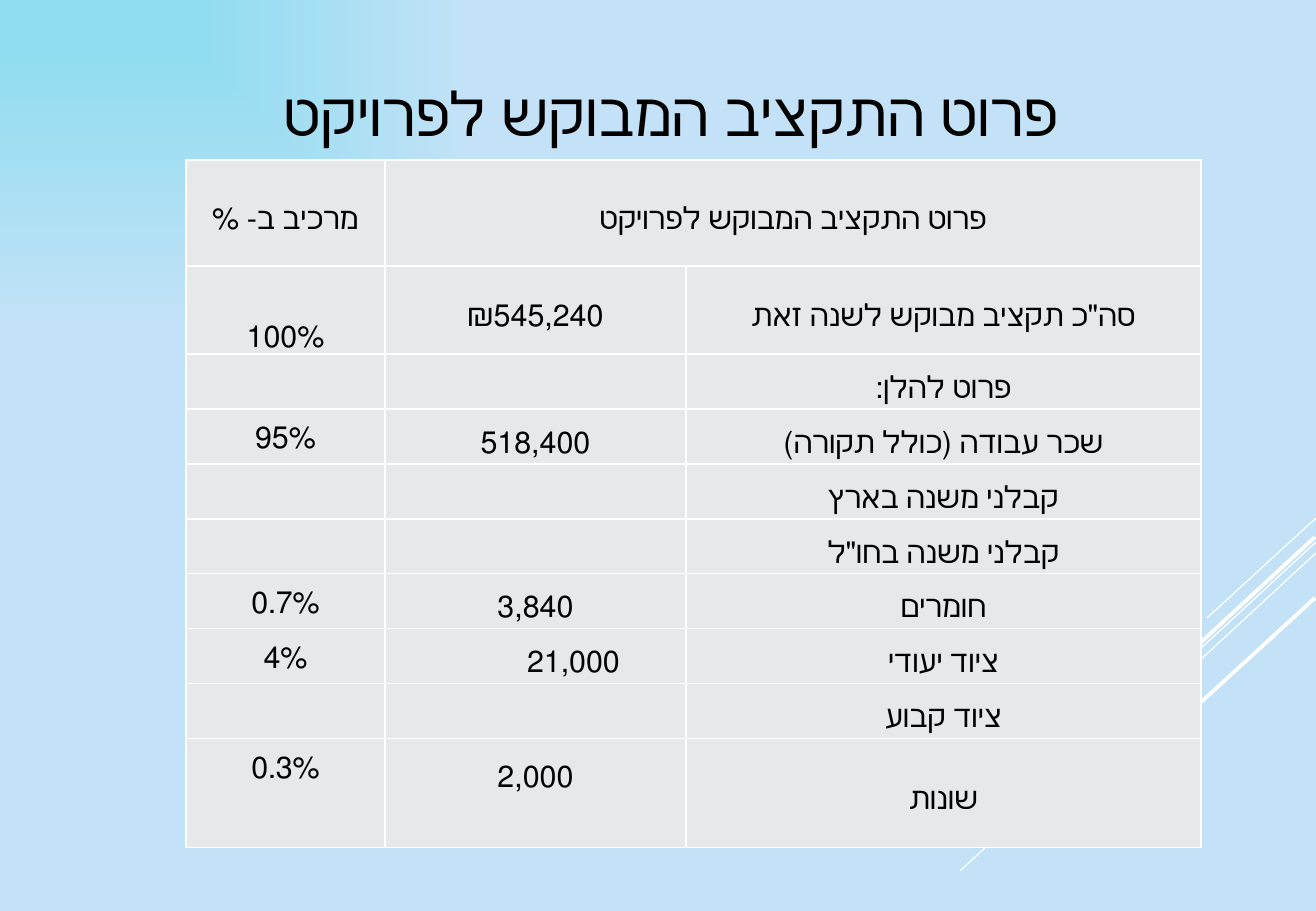
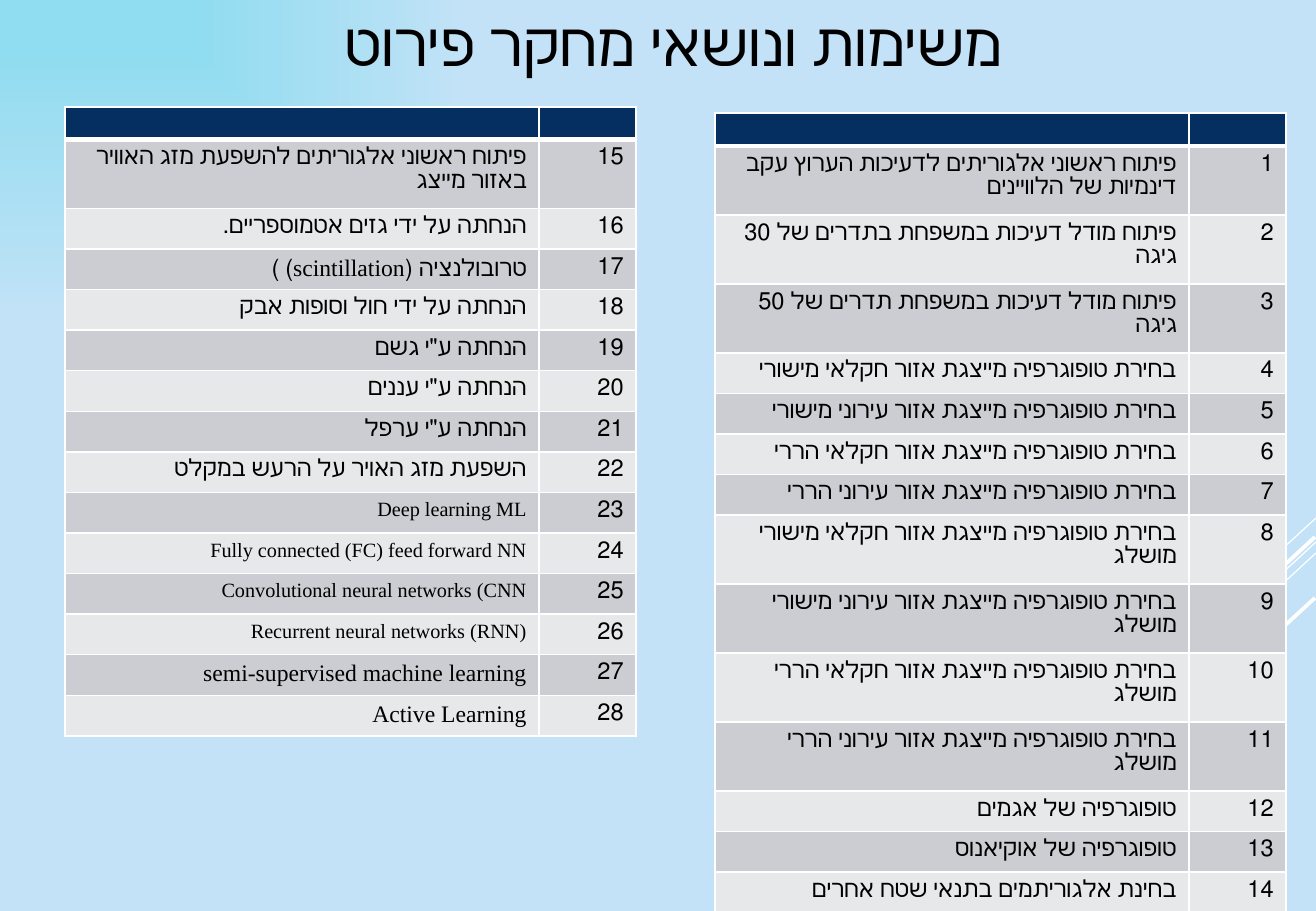
from pptx import Presentation
from pptx.dml.color import RGBColor
from pptx.enum import shapes, text
from pptx.oxml import parse_xml
from pptx.oxml.ns import nsdecls, qn
from pptx.oxml.xmlchemy import OxmlElement
from pptx.util import Emu, Pt

SCALE = 7526
FONT = "Times New Roman"
COLORS = {"black": "000000", "white": "FFFFFF", "navy": "052F61", "dark": "CCCDD2",
          "light": "E7E8EA", "sky": "C3E2F7", "aqua": "90DCF0"}
CENTER, RIGHT = text.PP_ALIGN.CENTER, text.PP_ALIGN.RIGHT
TOP, MIDDLE, BOTTOM = (text.MSO_ANCHOR.TOP, text.MSO_ANCHOR.MIDDLE, text.MSO_ANCHOR.BOTTOM)

RAYS = [
    (1316, 518, 1207, 618, 0.75),
    (1316, 542, 960, 871, 0.75),
    (1316, 553, 1090, 762, 0.75),
    (1315, 537, 1108, 728, 2.25),
    (1315, 598, 1164, 736, 2.25),
]

BUDGET_TITLE = "פרוט התקציב המבוקש לפרויקט"
BUDGET_COLS = [199, 301, 515]
BUDGET_HEIGHTS = [106, 88] + [55] * 7 + [109]
BUDGET = [
    ("מרכיב ב- %", "פרוט התקציב המבוקש לפרויקט", ""),
    ("100%", "₪545,240", "סה\"כ תקציב מבוקש לשנה זאת"),
    ("", "", "פרוט להלן:"),
    ("95%", "518,400", "שכר עבודה (כולל תקורה)"),
    ("", "", "קבלני משנה בארץ"),
    ("", "", "קבלני משנה בחו\"ל"),
    ("0.7%", "3,840", "חומרים"),
    ("4%", "21,000", "ציוד יעודי"),
    ("", "", "ציוד קבוע"),
    ("0.3%", "2,000", "שונות"),
]

TASKS_TITLE = "משימות ונושאי מחקר פירוט"
TASK_COLS = [474, 97]
ONE_LINE, TWO_LINES = 81 / 2, 69
TASK_LISTS = [
    {"left": 715, "top": 113, "header": 33, "first": 1, "tall": {1, 2, 3, 8, 9, 10, 11}, "small": set(),
     "tasks": [
         "פיתוח ראשוני אלגוריתים לדעיכות הערוץ עקב דינמיות של הלוויינים",
         "פיתוח מודל דעיכות במשפחת בתדרים של 30 גיגה",
         "פיתוח מודל דעיכות במשפחת תדרים של 50 גיגה",
         "בחירת טופוגרפיה מייצגת אזור חקלאי מישורי",
         "בחירת טופוגרפיה מייצגת אזור עירוני מישורי",
         "בחירת טופוגרפיה מייצגת אזור חקלאי הררי",
         "בחירת טופוגרפיה מייצגת אזור עירוני הררי",
         "בחירת טופוגרפיה מייצגת אזור חקלאי מישורי מושלג",
         "בחירת טופוגרפיה מייצגת אזור עירוני מישורי מושלג",
         "בחירת טופוגרפיה מייצגת אזור חקלאי הררי מושלג",
         "בחירת טופוגרפיה מייצגת אזור עירוני הררי מושלג",
         "טופוגרפיה של אגמים",
         "טופוגרפיה של אוקיאנוס",
         "בחינת אלגוריתמים בתנאי שטח אחרים",
     ]},
    {"left": 65, "top": 107, "header": 31, "first": 15, "tall": {15}, "small": {23, 24, 25, 26},
     "tasks": [
         "פיתוח ראשוני אלגוריתים להשפעת מזג האוויר באזור מייצג",
         "הנחתה על ידי גזים אטמוספריים.",
         "טרובולנציה (scintillation) )",
         "הנחתה על ידי חול וסופות אבק",
         "הנחתה ע\"י גשם",
         "הנחתה ע\"י עננים",
         "הנחתה ע\"י ערפל",
         "השפעת מזג האויר על הרעש במקלט",
         "Deep learning ML",
         "Fully connected (FC) feed forward NN",
         "Convolutional neural networks (CNN",
         "Recurrent neural networks (RNN)",
         "semi-supervised machine learning",
         "Active Learning",
     ]},
]


def px(n):
    return Emu(round(n * SCALE))


def rgb(name):
    return RGBColor.from_string(COLORS[name])


def write(tf, words, size=18, align=CENTER, spacing=None, before=0, after=0):
    p = tf.paragraphs[0]
    p.alignment = align
    p._p.get_or_add_pPr().set("rtl", "1")
    p.line_spacing = spacing
    p.space_before, p.space_after = Pt(before), Pt(after)
    if not words:
        end = OxmlElement("a:endParaRPr")
        end.set("sz", "1000")
        p._p.append(end)
        return
    r = p.add_run()
    r.text = words
    r.font.name, r.font.size = FONT, Pt(size)
    r.font.color.rgb = rgb("black")


def paint_background(master):
    fill = master.background.fill
    fill.solid()
    bg = master.element.find(".//" + qn("p:bgPr"))
    stops = "".join(f'<a:gs pos="{pos}"><a:srgbClr val="{COLORS[c]}"/></a:gs>'
                    for pos, c in ((10000, "aqua"), (72000, "sky")))
    bg.replace(bg[0], parse_xml(
        f'<a:gradFill {nsdecls("a")} rotWithShape="1"><a:gsLst>{stops}</a:gsLst>'
        '<a:path path="rect"><a:fillToRect r="100000" b="100000"/></a:path></a:gradFill>'))


def add_slide(prs, title, box, spacing=None):
    s = prs.slides.add_slide(prs.slide_layouts[6])
    for x1, y1, x2, y2, width in RAYS:
        ray = s.shapes.add_connector(shapes.MSO_CONNECTOR.STRAIGHT, px(x1), px(y1), px(x2), px(y2))
        ray.line.color.rgb, ray.line.width = rgb("white"), Pt(width)
        ray._element.spPr.append(OxmlElement("a:effectLst"))
    tf = s.shapes.add_textbox(*map(px, box)).text_frame
    tf.word_wrap = True
    write(tf, title, size=36, spacing=spacing, before=12, after=16)
    return s


def add_grid(s, left, top, cols, heights):
    frame = s.shapes.add_table(len(heights), len(cols), px(left), px(top), px(sum(cols)), px(sum(heights)))
    table = frame.table
    for col, width in zip(table.columns, cols):
        col.width = px(width)
    for row, height in zip(table.rows, heights):
        row.height = px(height)
    return table


def style_cell(cell, fill, bottom=1, top=1):
    cell.fill.solid()
    cell.fill.fore_color.rgb = rgb(fill)
    tc_pr = cell._tc.get_or_add_tcPr()
    for i, (side, width) in enumerate((("L", 1), ("R", 1), ("T", top), ("B", bottom))):
        tc_pr.insert(i, parse_xml(
            f'<a:ln{side} {nsdecls("a")} w="{Pt(width)}"><a:solidFill>'
            f'<a:srgbClr val="{COLORS["white"]}"/></a:solidFill></a:ln{side}>'))


def add_budget(s):
    table = add_grid(s, 186, 160, BUDGET_COLS, BUDGET_HEIGHTS)
    for i, row in enumerate(BUDGET):
        for j, words in enumerate(row):
            cell = table.cell(i, j)
            style_cell(cell, "light")
            cell.margin_left = cell.margin_right = cell.margin_top = cell.margin_bottom = 0
            cell.vertical_anchor = TOP if j == 0 and i > 1 else MIDDLE
            write(cell.text_frame, words, spacing=1.5)
    table.cell(0, 1).merge(table.cell(0, 2))
    table.cell(1, 0).vertical_anchor = BOTTOM
    table.cell(7, 1).margin_left = px(76)
    table.cell(9, 1).vertical_anchor = TOP
    table.cell(9, 1).margin_top = px(9)


def add_tasks(s, left, top, header, first, tall, small, tasks):
    numbers = range(first, first + len(tasks))
    heights = [header] + [TWO_LINES if n in tall else ONE_LINE for n in numbers]
    table = add_grid(s, left, top, TASK_COLS, heights)
    for j in range(len(TASK_COLS)):
        style_cell(table.cell(0, j), "navy", bottom=3)
        write(table.cell(0, j).text_frame, "")
    for i, (n, task) in enumerate(zip(numbers, tasks), 1):
        for j, (words, size) in enumerate(((task, 12 if n in small else 14), (str(n), 14))):
            cell = table.cell(i, j)
            style_cell(cell, "dark" if i % 2 else "light", top=3 if i == 1 else 1)
            write(cell.text_frame, words, size=size, align=RIGHT)


def main():
    prs = Presentation()
    prs.slide_width, prs.slide_height = px(1316), px(911)
    paint_background(prs.slide_master)
    add_budget(add_slide(prs, BUDGET_TITLE, (98, 33, 1145, 109), spacing=1.5))
    s = add_slide(prs, TASKS_TITLE, (101, 0, 1145, 86))
    for group in TASK_LISTS:
        add_tasks(s, **group)
    prs.save("out.pptx")


if __name__ == "__main__":
    main()
